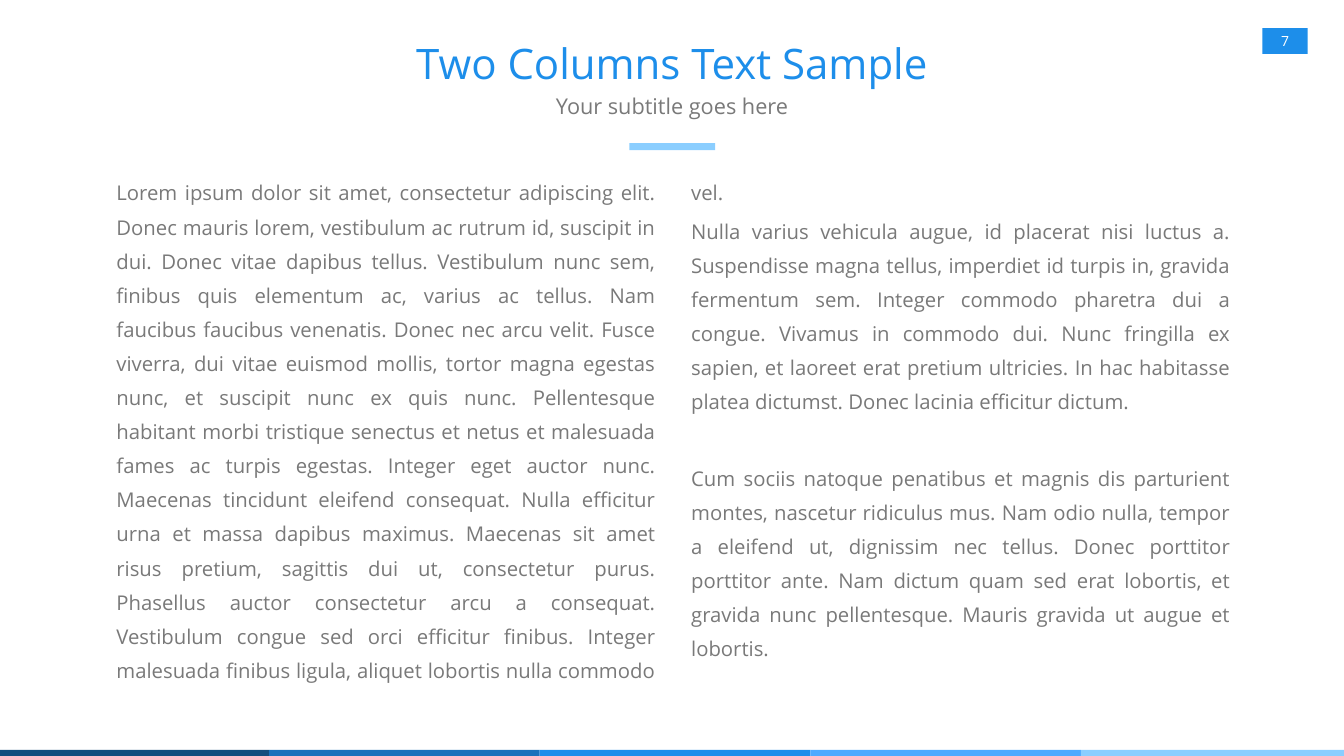
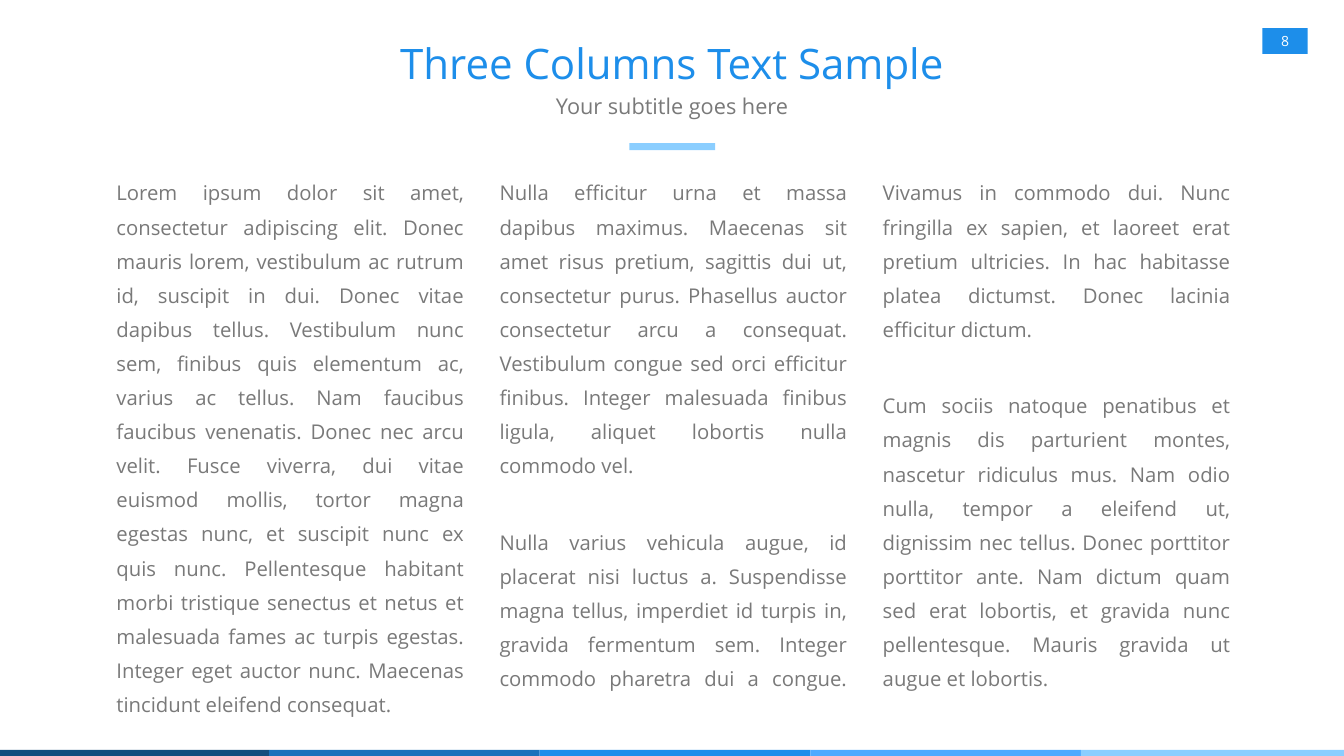
from pptx import Presentation
from pptx.dml.color import RGBColor
from pptx.enum import shapes, text
from pptx.util import Inches, Pt

COLORS = {
    "navy": "134D7E",
    "deep": "1971BB",
    "blue": "1D8EEA",
    "sky": "4EAAFF",
    "pale": "8BCEFF",
    "gray": "797979",
    "white": "FFFFFF",
}
FONT = "Open Sans"
STRIPES = ["navy", "deep", "blue", "sky", "pale"]
STRIPE_WIDTH = 5.37
PARAGRAPH_GAP = 5.8
SECTION_GAP = 60.5  # one empty line plus the usual gap on both sides

LOREM = (
    "Lorem ipsum dolor sit amet, consectetur adipiscing elit. Donec mauris lorem, "
    "vestibulum ac rutrum id, suscipit in dui. Donec vitae dapibus tellus. Vestibulum "
    "nunc sem, finibus quis elementum ac, varius ac tellus. Nam faucibus faucibus "
    "venenatis. Donec nec arcu velit. Fusce viverra, dui vitae euismod mollis, tortor "
    "magna egestas nunc, et suscipit nunc ex quis nunc. Pellentesque habitant morbi "
    "tristique senectus et netus et malesuada fames ac turpis egestas. Integer eget "
    "auctor nunc. Maecenas tincidunt eleifend consequat."
)
EFFICITUR = (
    "Nulla efficitur urna et massa dapibus maximus. Maecenas sit amet risus pretium, "
    "sagittis dui ut, consectetur purus. Phasellus auctor consectetur arcu a consequat. "
    "Vestibulum congue sed orci efficitur finibus. Integer malesuada finibus ligula, "
    "aliquet lobortis nulla commodo vel."
)
VARIUS = (
    "Nulla varius vehicula augue, id placerat nisi luctus a. Suspendisse magna tellus, "
    "imperdiet id turpis in, gravida fermentum sem. Integer commodo pharetra dui a "
    "congue. Vivamus in commodo dui. Nunc fringilla ex sapien, et laoreet erat pretium "
    "ultricies. In hac habitasse platea dictumst. Donec lacinia efficitur dictum."
)
SOCIIS = (
    "Cum sociis natoque penatibus et magnis dis parturient montes, nascetur ridiculus "
    "mus. Nam odio nulla, tempor a eleifend ut, dignissim nec tellus. Donec porttitor "
    "porttitor ante. Nam dictum quam sed erat lobortis, et gravida nunc pellentesque. "
    "Mauris gravida ut augue et lobortis."
)

# Number, title, column count, body height, (space before, passage) pairs
PAGES = [
    (7, "Two Columns Text Sample", 2, 10.48, [
        (0, f"{LOREM} {EFFICITUR}"),
        (PARAGRAPH_GAP, VARIUS),
        (SECTION_GAP, SOCIIS),
    ]),
    (8, "Three Columns Text Sample", 3, 10.68, [
        (0, LOREM),
        (PARAGRAPH_GAP, EFFICITUR),
        (SECTION_GAP, VARIUS),
        (SECTION_GAP, SOCIIS),
    ]),
]


def add_bar(slide, left, top, width, height, color):
    bar = slide.shapes.add_shape(
        shapes.MSO_SHAPE.RECTANGLE,
        Inches(left), Inches(top), Inches(width), Inches(height))
    bar.shadow.inherit = False
    bar.fill.solid()
    bar.fill.fore_color.rgb = RGBColor.from_string(COLORS[color])
    bar.line.fill.background()
    return bar


def write(shape, passages, size, color, align, spacing=1.0, insets=(0.24, 0.12)):
    """Fill a shape with (space before, passage) pairs in one style."""
    frame = shape.text_frame
    frame.word_wrap = True
    frame.margin_left = frame.margin_right = Inches(insets[0])
    frame.margin_top = frame.margin_bottom = Inches(insets[1])
    frame.text = "\n".join(passage for _, passage in passages)
    for paragraph, (gap, _) in zip(frame.paragraphs, passages):
        paragraph.alignment = align
        paragraph.line_spacing = spacing
        paragraph.space_before = Pt(gap)
        for run in paragraph.runs:
            run.font.name = FONT
            run.font.size = Pt(size)
            run.font.color.rgb = RGBColor.from_string(COLORS[color])
    return frame


prs = Presentation()
prs.slide_width = Inches(26.67)
prs.slide_height = Inches(15)
CENTER = text.PP_ALIGN.CENTER

for number, heading, columns, body_height, passages in PAGES:
    slide = prs.slides.add_slide(prs.slide_layouts[6])

    for i, color in enumerate(STRIPES):
        add_bar(slide, -0.03 + i * STRIPE_WIDTH, 14.88, STRIPE_WIDTH, 0.2, color)

    title = slide.shapes.add_textbox(Inches(2), Inches(0.62), Inches(22.67), Inches(1.24))
    title_frame = write(title, [(0, heading)], 60, "blue", CENTER)
    title_frame.vertical_anchor = text.MSO_ANCHOR.MIDDLE

    page_badge = add_bar(slide, 25.05, 0.56, 0.9, 0.51, "blue")
    badge_frame = write(page_badge, [(0, str(number))], 20, "white", CENTER, insets=(0, 0))
    badge_frame.vertical_anchor = text.MSO_ANCHOR.MIDDLE

    add_bar(slide, 12.49, 2.84, 1.7, 0.14, "pale")

    body = slide.shapes.add_textbox(
        Inches(2.07), Inches(3.27), Inches(22.59), Inches(body_height))
    body_frame = write(body, passages, 29, "gray", text.PP_ALIGN.JUSTIFY, 1.4)
    body_frame.auto_size = text.MSO_AUTO_SIZE.SHAPE_TO_FIT_TEXT
    body_properties = body.text_frame._txBody.bodyPr
    body_properties.set("numCol", str(columns))
    body_properties.set("spcCol", str(Inches(0.7)))

    subtitle = slide.shapes.add_textbox(
        Inches(6.96), Inches(1.62), Inches(12.75), Inches(0.92))
    write(subtitle, [(0, "Your subtitle goes here")], 31, "gray", CENTER, 1.2)

prs.save("out.pptx")
